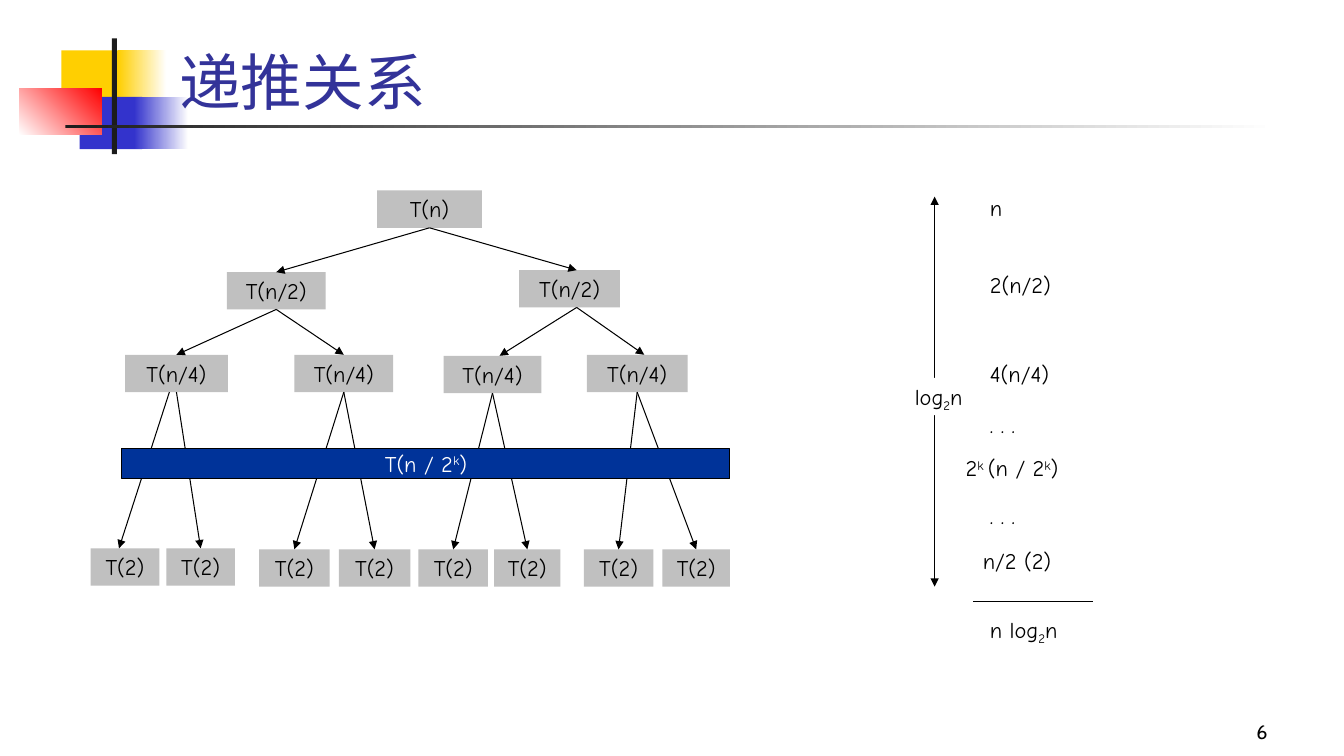
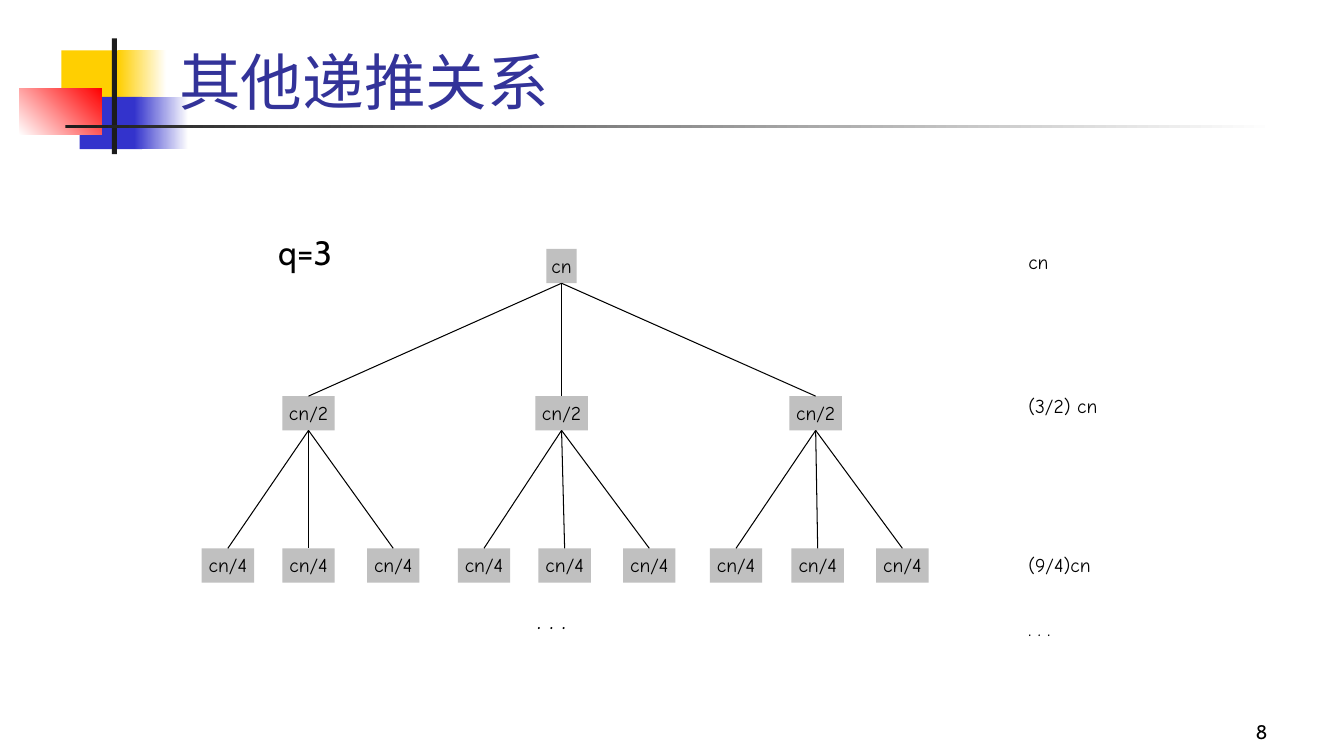
from lxml import etree
from pptx import Presentation
from pptx.dml.color import RGBColor
from pptx.enum import shapes, text
from pptx.oxml import ns
from pptx.util import Inches, Pt

BLACK = RGBColor(0x00, 0x00, 0x00)
WHITE = RGBColor(0xFF, 0xFF, 0xFF)
GREY = RGBColor(0xC0, 0xC0, 0xC0)
CHARCOAL = RGBColor(0x1C, 0x1C, 0x1C)
YELLOW = RGBColor(0xFF, 0xCF, 0x01)
BLUE = RGBColor(0x33, 0x33, 0xCC)
RED = RGBColor(0xFF, 0x00, 0x00)
TITLE_BLUE = RGBColor(0x33, 0x33, 0x99)
BAND_BLUE = RGBColor(0x00, 0x33, 0x99)
HEADING_FONT = "Cabin"
DIAGRAM_FONT = "Comic Neue"
LEFT, CENTER, RIGHT = text.PP_ALIGN.LEFT, text.PP_ALIGN.CENTER, text.PP_ALIGN.RIGHT
TOP, MIDDLE, BOTTOM = text.MSO_ANCHOR.TOP, text.MSO_ANCHOR.MIDDLE, text.MSO_ANCHOR.BOTTOM

DECORATIONS = [
    ((0.61, 0.5, 0.64, 0.52), (YELLOW,), 0),
    ((1.17, 0.5, 0.48, 0.52), (YELLOW, WHITE), 0),
    ((0.79, 0.96, 0.62, 0.52), (BLUE,), 0),
    ((1.33, 0.96, 0.54, 0.52), (BLUE, WHITE), 0),
    ((0.19, 0.88, 0.82, 0.46), (WHITE, RED), 45),
    ((1.11, 0.38, 0.05, 1.15), (CHARCOAL,), 0),
    ((0.65, 1.24, 12, 0.03), (CHARCOAL, WHITE), 0),
]


def write(shape, runs, size, color=BLACK, font=DIAGRAM_FONT, align=LEFT,
          anchor=TOP, wrap=True, margin=0.1):
    frame = shape.text_frame
    frame.word_wrap = wrap
    frame.vertical_anchor = anchor
    frame.margin_left = frame.margin_right = Inches(margin)
    paragraph = frame.paragraphs[0]
    paragraph.alignment = align
    paragraph.font.size = Pt(size)
    paragraph.font.name = font
    paragraph.font.color.rgb = color
    for content, baseline in [(runs, 0)] if isinstance(runs, str) else runs:
        run = paragraph.add_run()
        run.text = content
        if baseline:
            run._r.get_or_add_rPr().set("baseline", str(baseline * 1000))


def add_label(slide, box, runs, size, **style):
    write(slide.shapes.add_textbox(*map(Inches, box)), runs, size, **style)


def add_rectangle(slide, box, colors, angle=0):
    shape = slide.shapes.add_shape(shapes.MSO_SHAPE.RECTANGLE, *map(Inches, box))
    shape.shadow.inherit = False
    shape.line.fill.background()
    if len(colors) == 1:
        shape.fill.solid()
        shape.fill.fore_color.rgb = colors[0]
    else:
        shape.fill.gradient()
        shape.fill.gradient_angle = angle
        for stop, color in zip(shape.fill.gradient_stops, colors):
            stop.color.rgb = color
    return shape


def add_node(slide, box, label, size, **style):
    node = add_rectangle(slide, box, (GREY,))
    write(node, label, size, align=CENTER, **style)
    return node


def add_line(slide, start, end, width=0.75, arrows=()):
    line = slide.shapes.add_connector(
        shapes.MSO_CONNECTOR.STRAIGHT, *map(Inches, (*start, *end)))
    line.line.color.rgb = BLACK
    line.line.width = Pt(width)
    outline = line.line._get_or_add_ln()
    for arrow in arrows:
        etree.SubElement(outline, ns.qn("a:" + arrow), type="triangle")
    etree.SubElement(line._element.spPr, ns.qn("a:effectLst"))
    return line


def link(slide, parent, child, start_shift=0, end_shift=0, arrows=()):
    start = ((parent.left + parent.width / 2) / Inches(1) + start_shift,
             (parent.top + parent.height) / Inches(1))
    end = ((child.left + child.width / 2) / Inches(1) + end_shift,
           child.top / Inches(1))
    line = add_line(slide, start, end, arrows=arrows)
    if not start_shift:
        line.begin_connect(parent, 2)
    if not end_shift:
        line.end_connect(child, 0)


def add_page(presentation, title, number):
    slide = presentation.slides.add_slide(presentation.slide_layouts[6])
    for box, colors, angle in DECORATIONS:
        add_rectangle(slide, box, colors, angle)
    add_label(slide, (9.89, 6.92, 2.78, 0.5), number, 14,
              font=HEADING_FONT, align=RIGHT, anchor=BOTTOM)
    add_label(slide, (1.68, -0.03, 11.36, 1.25), title, 44,
              color=TITLE_BLUE, font=HEADING_FONT, anchor=BOTTOM)
    return slide


def add_binary_tree(slide):
    levels = [
        ("T(n)", [(3.74, 1.89, 1.04)]),
        ("T(n/2)", [(2.25, 2.7, 0.98), (5.15, 2.68, 1)]),
        ("T(n/4)", [(1.24, 3.52, 1.02), (2.92, 3.52, 0.98),
                    (4.4, 3.53, 0.97), (5.82, 3.52, 1)]),
        ("T(2)", [(0.9, 5.44, 0.68), (1.65, 5.44, 0.68), (2.57, 5.45, 0.7),
                  (3.36, 5.45, 0.71), (4.15, 5.45, 0.69), (4.9, 5.45, 0.66),
                  (5.79, 5.45, 0.69), (6.57, 5.45, 0.67)]),
    ]
    shifts = {
        (1, 1): (0, 0.07),
        (2, 2): (0.07, 0.07),
        (2, 3): (0.07, 0.07),
        (3, 0): (-0.07, -0.06),
    }
    parents = []
    for depth, (label, places) in enumerate(levels):
        nodes = [add_node(slide, (*place, 0.37), label, 16) for place in places]
        if parents:
            for index, node in enumerate(nodes):
                link(slide, parents[index // 2], node,
                     *shifts.get((depth, index), (0, 0)), arrows=("tailEnd",))
        parents = nodes

    band = add_rectangle(slide, (1.21, 4.45, 6.03, 0.3), (BAND_BLUE,))
    band.line.color.rgb = BLACK
    band.line.width = Pt(0.75)
    write(band, [("T(n / 2", 0), ("k", 30), (")", 0)], 16,
          color=WHITE, align=CENTER, anchor=MIDDLE, wrap=False)


def add_level_costs(slide):
    costs = [
        (9.72, 1.88, "n"),
        (9.72, 2.64, "2(n/2)"),
        (9.72, 3.52, "4(n/4)"),
        (9.72, 4.03, ". . ."),
        (9.48, 4.46, [("2", 0), ("k ", 30), ("(n / 2", 0), ("k", 30), (")", 0)]),
        (9.72, 4.93, ". . ."),
        (9.65, 5.38, "n/2 (2)"),
        (9.72, 6.06, [("n log", 0), ("2", -25), ("n", 0)]),
    ]
    for left, top, runs in costs:
        add_label(slide, (left, top, 1.5, 0.37), runs, 16)
    add_line(slide, (9.27, 1.95), (9.27, 5.82), 1, ("headEnd", "tailEnd"))
    height_label = add_rectangle(slide, (8.9, 3.75, 0.82, 0.37), (WHITE,))
    write(height_label, [("log", 0), ("2", -25), ("n", 0)], 16, align=CENTER)
    add_line(slide, (10.84, 5.97), (9.65, 5.97), 1)


def add_ternary_tree(slide):
    def add_term(left, top, width, label):
        return add_node(slide, (left, top, width, 0.34), label, 14,
                        wrap=False, margin=0.05)

    branches = [
        (2.8, (2, 2.8, 3.64)),
        (5.31, (4.54, 5.34, 6.18)),
        (7.83, (7.04, 7.85, 8.69)),
    ]
    root = add_term(5.42, 2.47, 0.3, "cn")
    for branch_left, leaf_lefts in branches:
        branch = add_term(branch_left, 3.93, 0.52, "cn/2")
        link(slide, root, branch)
        for leaf_left in leaf_lefts:
            link(slide, branch, add_term(leaf_left, 5.44, 0.52, "cn/4"))

    add_label(slide, (5.23, 5.95, 1.22, 0.4), ". . .", 18)
    add_label(slide, (2.66, 2.25, 1.08, 0.5), "q=3", 24, font=HEADING_FONT)
    for top, cost in [(2.43, "cn"), (3.86, "(3/2) cn"),
                      (5.44, "(9/4)cn"), (6.07, ". . .")]:
        add_label(slide, (10.1, top, 1.22, 0.33), cost, 14)


def main():
    presentation = Presentation()
    presentation.slide_width = Inches(13.33)
    presentation.slide_height = Inches(7.5)

    slide = add_page(presentation, "递推关系", "6")
    add_binary_tree(slide)
    add_level_costs(slide)

    slide = add_page(presentation, "其他递推关系", "8")
    add_ternary_tree(slide)

    presentation.save("out.pptx")


if __name__ == "__main__":
    main()
